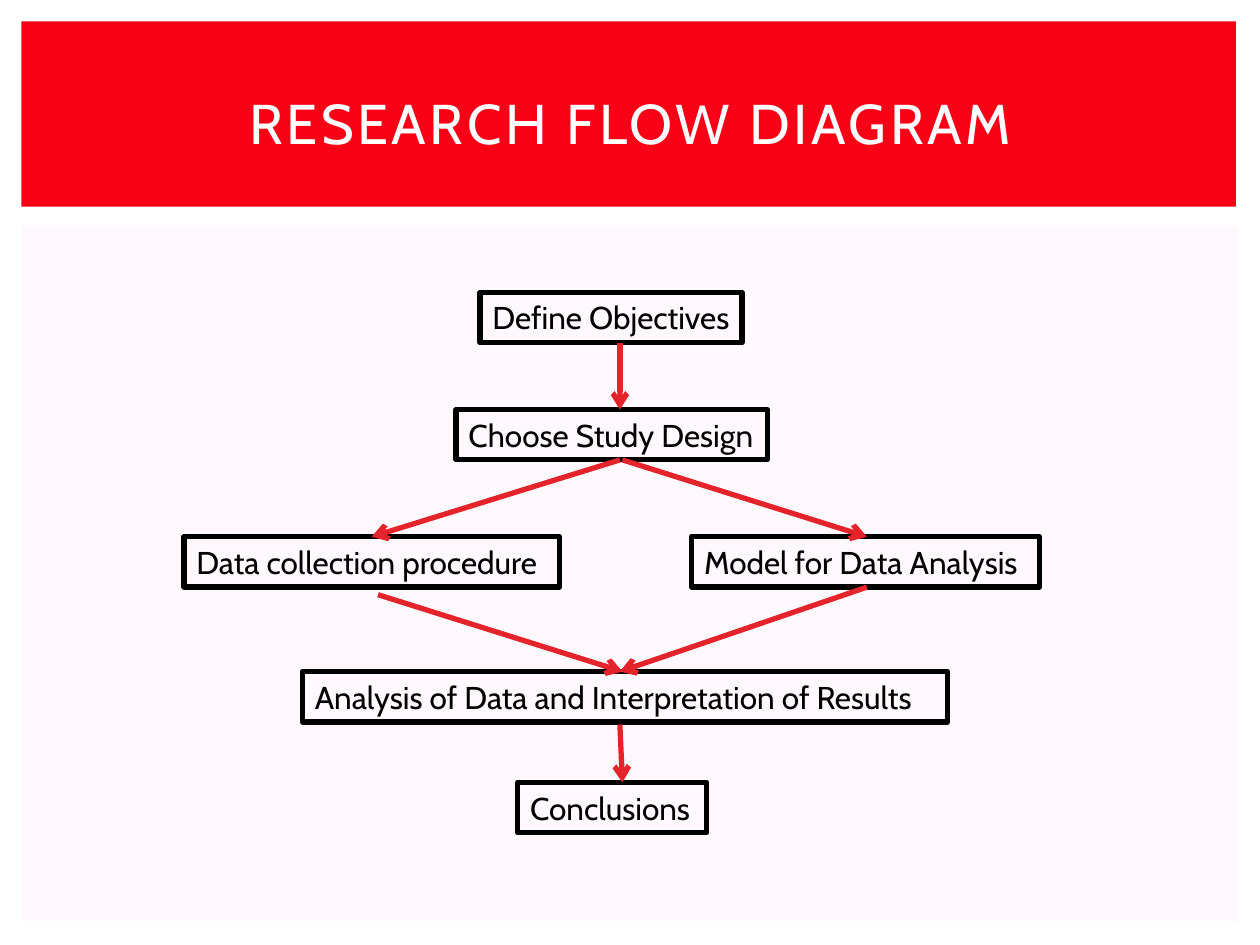
import pptx
import pptx.util
import pptx.dml.color
import pptx.enum.shapes
import pptx.enum.text
import pptx.oxml
import pptx.oxml.ns
from dataclasses import dataclass


@dataclass(frozen=True)
class Theme:
    font: str = "Cabin"
    head: float = 32
    body: float = 18
    line: float = 3
    white: str = "FFFFFF"
    black: str = "000000"
    band: str = "F80016"
    panel: str = "FFF8FC"
    arrow: str = "E4232B"


theme = Theme()
deck = pptx.Presentation()
deck.slide_width = pptx.util.Inches(10)
deck.slide_height = pptx.util.Inches(7.5)
unit = deck.slide_width / 100  # the slide is a grid of 100 columns by 75 rows


def grid(*cells):
    """Turn columns and rows into slide lengths."""
    return [round(cell * unit) for cell in cells]


def style(run, size, color):
    run.font.name = theme.font
    run.font.size = pptx.util.Pt(size)
    run.font.color.rgb = pptx.dml.color.RGBColor.from_string(color)


slide = deck.slides.add_slide(deck.slide_layouts[5])
title = slide.shapes.title
title.left, title.top, title.width, title.height = grid(4.2, 3.9, 91.7, 11.5)
title.text_frame.text = "RESEARCH FLOW DIAGRAM"
title.text_frame.vertical_anchor = pptx.enum.text.MSO_ANCHOR.MIDDLE
para = title.text_frame.paragraphs[0]
para.alignment = pptx.enum.text.PP_ALIGN.CENTER
style(para.runs[0], theme.head, theme.white)
para.runs[0].font._element.set("spc", "200")

# Panels sit behind the title
rect = pptx.enum.shapes.MSO_SHAPE.RECTANGLE
for color, top, width, height in [
    (theme.panel, 17.9, 96.6, 55.2),
    (theme.band, 1.7, 96.4, 14.7),
]:
    panel = slide.shapes.add_shape(rect, *grid(1.7, top, width, height))
    panel.shadow.inherit = False
    panel.fill.solid()
    panel.fill.fore_color.rgb = pptx.dml.color.RGBColor.from_string(color)
    panel.line.fill.background()
    title.element.addprevious(panel.element)

# Steps: text, left column, width, top row
tall = 4
rows = [23.2, 32.5, 42.6, 53.3, 62.1]
steps = [
    ("Define Objectives", 38.1, 20.8, rows[0]),
    ("Choose Study Design", 36.2, 24.7, rows[1]),
    ("Data collection procedure", 14.6, 29.8, rows[2]),
    ("Model for Data Analysis", 54.9, 27.6, rows[2]),
    ("Analysis of Data and Interpretation of Results", 24, 51.2, rows[3]),
    ("Conclusions", 41.1, 15, rows[4]),
]
for text, left, width, top in steps:
    box = slide.shapes.add_textbox(*grid(left, top, width, tall))
    box.line.color.rgb = pptx.dml.color.RGBColor.from_string(theme.black)
    box.line.width = pptx.util.Pt(theme.line)
    frame = box.text_frame
    frame.word_wrap = True
    frame.margin_right = 0
    frame.text = text
    style(frame.paragraphs[0].runs[0], theme.body, theme.black)

# Arrows: start column and row, end column and row
mid, near, right = 49.2, 49.4, 68.8
arrows = [
    (mid, rows[0] + tall, mid, rows[1]),
    (near, rows[1] + tall, right, rows[2]),
    (mid, rows[1] + tall, 29.5, rows[2]),
    (30, rows[2] + tall + 0.6, near, rows[3]),
    (right, rows[2] + tall, mid, rows[3]),
    (mid, rows[3] + tall + 0.2, near, rows[4]),
]
straight = pptx.enum.shapes.MSO_CONNECTOR.STRAIGHT
for ends in arrows:
    arrow = slide.shapes.add_connector(straight, *grid(*ends))
    arrow.line.color.rgb = pptx.dml.color.RGBColor.from_string(theme.arrow)
    arrow.line.width = pptx.util.Pt(theme.line)
    tip = pptx.oxml.parse_xml(
        f'<a:tailEnd {pptx.oxml.ns.nsdecls("a")} type="arrow"/>'
    )
    arrow.line._get_or_add_ln().append(tip)
    flat = pptx.oxml.parse_xml(f'<a:effectLst {pptx.oxml.ns.nsdecls("a")}/>')
    arrow.element.spPr.append(flat)

deck.save("out.pptx")
